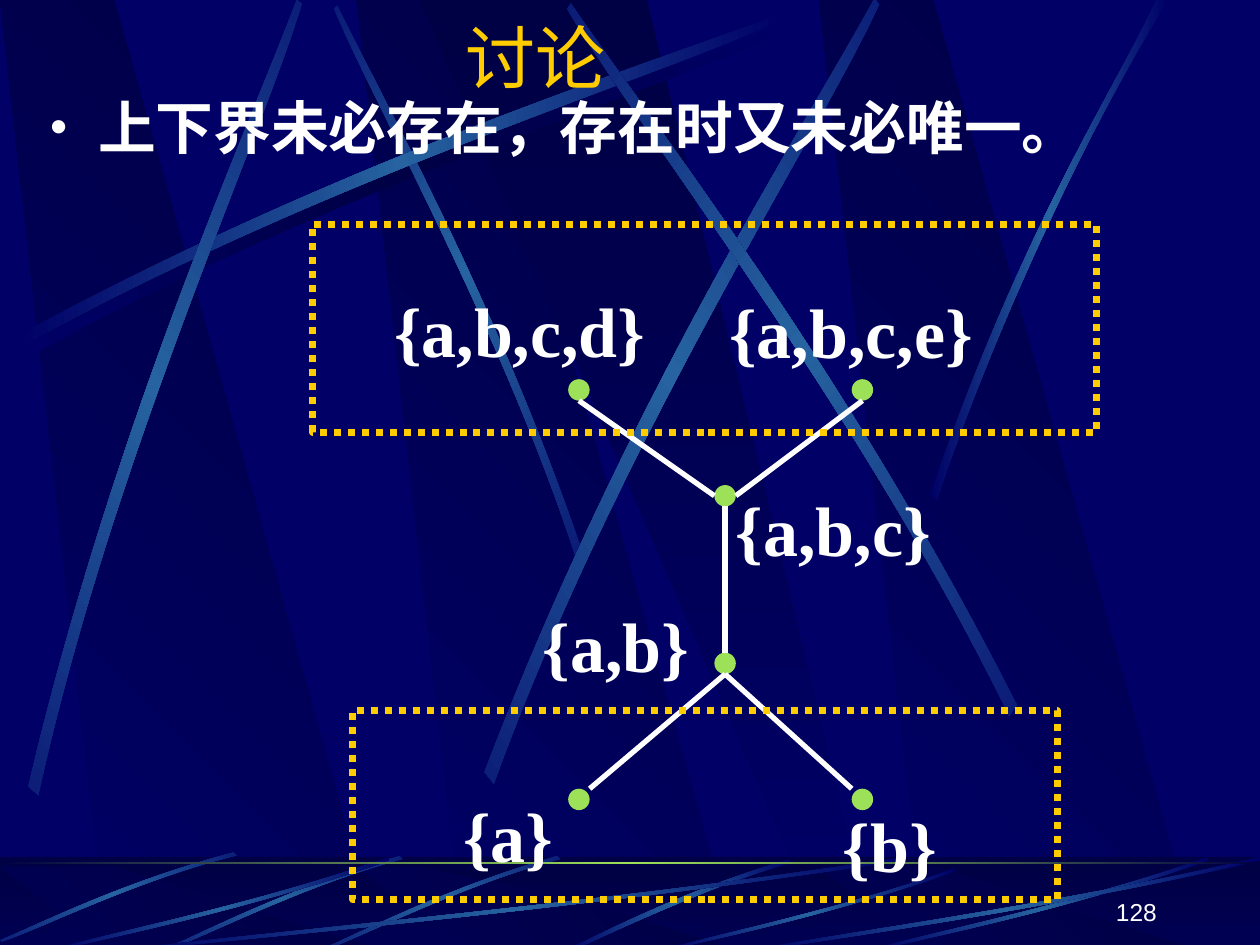
import pptx
import pptx.dml.color
import pptx.enum.dml
import pptx.enum.shapes
import pptx.enum.text
import pptx.oxml
import pptx.oxml.ns
import pptx.util

CELL = pptx.util.Inches(1)  # the grid has 10 columns and 7.5 rows
COLUMNS, ROWS = 10, 7.5
COLORS = {"navy": "000066", "dark": "000044", "blue": "2663A0",
          "green": "9CE157", "gold": "FFCC00", "white": "FFFFFF"}
GLOW = ("navy", "blue", "navy")
SHADE = ("navy", "dark")
ALIGN = pptx.enum.text.PP_ALIGN
ANCHOR = pptx.enum.text.MSO_ANCHOR
SHAPE = pptx.enum.shapes.MSO_SHAPE

# Outlines as shares of their box. A ribbon is two Bezier curves.
SWEEP = [(0, .96), (.43, .43), (.83, .15), (1, 0),
         (1, .02), (.84, .19), (.39, .5), (0, 1)]
RISING = [(0, .99), (.4, .44), (.79, .17), (.95, 0),
          (1, 0), (.52, .37), (.16, .81), (.03, 1)]
FALLING = [(.99, 0), (.49, .37), (.16, .82), (0, .99),
           (.03, 1), (.23, .77), (.68, .25), (1, .04)]
BEAM = [(.28, 1), (1, 1), (.3, 0), (0, 0)]
WIDE_BEAM = [(0, 0), (.9, 1), (1, 1), (.5, 0)]
BEAM_COLUMNS = (2.83, 0, 6.5)

WALL_RIBBONS = [  # box, rotation, mirrored
    ((1.41, 1.35, 4.42, 1.75), 45, True),
    ((.14, .1, 6.08, 2.67), 0, False),
    ((-1.71, 1.82, 6.08, 2.67), 311.7, False),
    ((2.31, 1.6, 6.24, 3.01), 321.6, False),
    ((3.23, 1.52, 6.08, 2.67), 34.7, True),
]
TILTED_FLOOR_RIBBONS = [(2.58, 6.76, 1.84, .83), (1.33, 6.76, 1.84, .83),
                        (.04, 6.7, 1.8, .85)]
FLAT_FLOOR_RIBBONS = [(1, 6.8, 6.17, .75), (.42, 6.8, 2.67, .75),
                      (5.27, 6.89, 2.31, .66), (6.92, 6.8, 2.67, .75),
                      (6, 6.8, 4, .75)]

NODE_SIZE = .17
NODES = {"{a,b,c}": (5.67, 3.85), "{a,b}": (5.67, 5.18),
         "{a,b,c,d}": (4.51, 3.01), "{a,b,c,e}": (6.76, 3.01),
         "{a}": (4.51, 6.26), "{b}": (6.76, 6.26)}
TOP, BOTTOM, LEFT, RIGHT = (.5, 0), (.5, 1), (0, .5), (1, .5)
TOP_LEFT, TOP_RIGHT = (0, 0), (1, 0)
EDGES = [("{a,b,c}", BOTTOM, "{a,b}", TOP),
         ("{a,b,c,d}", BOTTOM, "{a,b,c}", LEFT),
         ("{a,b,c,e}", BOTTOM, "{a,b,c}", RIGHT),
         ("{a,b}", BOTTOM, "{a}", TOP_RIGHT),
         ("{a,b}", BOTTOM, "{b}", TOP_LEFT)]
LABEL_BOXES = {"{a}": (3.58, 6.11, 1.01, .9), "{b}": (6.59, 6.19, 1.05, .9),
               "{a,b}": (4.21, 4.6, 1.46, .9), "{a,b,c}": (5.74, 3.68, 1.85, .9),
               "{a,b,c,d}": (3.03, 2.1, 2.3, .9),
               "{a,b,c,e}": (5.69, 2.11, 2.23, .9)}
BOUND_FRAMES = [(2.8, 5.64, 5.59, 1.5), (2.48, 1.78, 6.22, 1.65)]


def cells(*values):
    return [round(value * CELL) for value in values]


def rgb(name):
    return pptx.dml.color.RGBColor.from_string(COLORS[name])


def element(tag, content="", **attributes):
    listed = "".join(f' {key}="{value}"' for key, value in attributes.items())
    namespace = pptx.oxml.ns.nsdecls("a")
    return pptx.oxml.parse_xml(f"<a:{tag} {namespace}{listed}>{content}</a:{tag}>")


def set_gradient(shape, names, angle):
    """Fill with evenly spaced colours; the angle runs clockwise in degrees."""
    stops = "".join(
        f'<a:gs pos="{index * 100000 // (len(names) - 1)}">'
        f'<a:srgbClr val="{COLORS[name]}"/></a:gs>'
        for index, name in enumerate(names))
    content = f'<a:gsLst>{stops}</a:gsLst><a:lin ang="{angle * 60000}" scaled="0"/>'
    shape.fill.background()
    empty = shape._element.spPr.find(pptx.oxml.ns.qn("a:noFill"))
    shape._element.spPr.replace(empty, element("gradFill", content, rotWithShape=1))


def add_plain(parent, kind, box, fill=None):
    shape = parent.shapes.add_shape(kind, *cells(*box))
    shape.shadow.inherit = False
    shape.line.fill.background()
    if fill:
        shape.fill.solid()
        shape.fill.fore_color.rgb = rgb(fill)
    else:
        shape.fill.background()
    return shape


def add_outline(parent, shares, box, colors, angle):
    left, top, width, height = box
    points = [cells(left + x * width, top + y * height) for x, y in shares]
    builder = parent.shapes.build_freeform(*points[0])
    builder.add_line_segments(points[1:], close=True)
    shape = builder.convert_to_shape()
    shape.shadow.inherit = False
    shape.line.fill.background()
    set_gradient(shape, colors, angle)
    return shape


def bend(shape):
    """Turn the first three and the last three segments into Bezier curves."""
    segments = list(shape._element.iter(pptx.oxml.ns.qn("a:lnTo")))
    for controls in (segments[:3], segments[4:7]):
        curve = element("cubicBezTo")
        controls[0].addprevious(curve)
        for segment in controls:
            curve.append(segment[0])
            segment.getparent().remove(segment)


def add_ribbon(parent, curve, box, rotation=0, mirror=False, turn=False, colors=GLOW):
    """Add a curved ribbon; mirror flips it sideways, turn flips it both ways."""
    shares = [(1 - x if mirror or turn else x, 1 - y if turn else y) for x, y in curve]
    ribbon = add_outline(parent, shares, box, colors, 0)
    bend(ribbon)
    ribbon.rotation = rotation


def add_beams(parent, top, height):
    for left in BEAM_COLUMNS:
        add_outline(parent, BEAM, (left, top, 3.02, height), SHADE, 315)
    add_outline(parent, WIDE_BEAM, (3.33, top, 3.61, height), SHADE[::-1], 90)


def add_wall(parent):
    add_beams(parent, 0, 7.52)
    add_ribbon(parent, SWEEP, (.2, .18, 6.08, 2.67), colors=("navy", "dark", "navy"))
    for box, rotation, mirror in WALL_RIBBONS:
        add_ribbon(parent, SWEEP, box, rotation, mirror)
    add_ribbon(parent, RISING, (7.38, 0, 1.89, 3.97))


def add_floor(parent):
    floor = (0, 6.8, COLUMNS, .75)
    set_gradient(add_plain(parent, SHAPE.RECTANGLE, floor), SHADE[::-1], 90)
    add_beams(parent, 6.88, .66)
    veil = add_plain(parent, SHAPE.RECTANGLE, floor, "dark")
    color = veil._element.spPr.find(".//" + pptx.oxml.ns.qn("a:srgbClr"))
    color.append(element("alpha", val=50000))
    add_ribbon(parent, FALLING, (4.48, 6.82, 1.8, .73))
    for box in TILTED_FLOOR_RIBBONS:
        add_ribbon(parent, SWEEP, box, 315, mirror=True)
    for box in FLAT_FLOOR_RIBBONS:
        add_ribbon(parent, SWEEP, box, turn=True)
    horizon = add_plain(parent, SHAPE.RECTANGLE, (0, 6.84, COLUMNS, .02))
    set_gradient(horizon, ("dark", "green", "dark"), 0)


def add_text(parent, text, box, size, font, color="white", bold=False, wrap=True,
             align=ALIGN.LEFT, anchor=ANCHOR.TOP, spacing=None, bullet=None):
    frame = parent.shapes.add_textbox(*cells(*box)).text_frame
    frame.word_wrap = wrap
    frame.vertical_anchor = anchor
    para = frame.paragraphs[0]
    para.alignment = align
    para.line_spacing = spacing
    if bullet:
        properties = para._p.get_or_add_pPr()
        indent = cells(.38)[0]
        properties.set("marL", str(indent))
        properties.set("indent", str(-indent))
        properties.append(element("buSzPct", val=85000))
        properties.append(element("buFont", typeface=font))
        properties.append(element("buChar", char=bullet))
    span = para.add_run()
    span.text = text
    span.font.size = pptx.util.Pt(size)
    span.font.name = font
    span.font.bold = bold
    span.font.color.rgb = rgb(color)


def add_edge(parent, start, start_side, end, end_side):
    ends = [position + share * NODE_SIZE
            for node, side in ((start, start_side), (end, end_side))
            for position, share in zip(NODES[node], side)]
    edge = parent.shapes.add_connector(pptx.enum.shapes.MSO_CONNECTOR.STRAIGHT, *cells(*ends))
    edge.line.color.rgb = rgb("white")
    edge.line.width = pptx.util.Pt(3)
    edge._element.spPr.append(element("effectLst"))


def add_diagram(parent):
    for position in NODES.values():
        add_plain(parent, SHAPE.OVAL, (*position, NODE_SIZE, NODE_SIZE), "green")
    for edge in EDGES:
        add_edge(parent, *edge)
    for label, box in LABEL_BOXES.items():
        add_text(parent, label, box, 40, "Times New Roman", bold=True, wrap=False,
                 spacing=1.2)


def add_bound_frame(parent, box):
    line = add_plain(parent, SHAPE.RECTANGLE, box).line
    line.color.rgb = rgb("gold")
    line.width = pptx.util.Pt(4)
    line.dash_style = pptx.enum.dml.MSO_LINE.ROUND_DOT


def main():
    deck = pptx.Presentation()
    deck.slide_width, deck.slide_height = cells(COLUMNS, ROWS)
    page = deck.slides.add_slide(deck.slide_layouts[6])
    page.background.fill.solid()
    page.background.fill.fore_color.rgb = rgb("navy")
    scenery = page.shapes.add_group_shape()
    add_wall(scenery)
    add_floor(scenery)
    add_text(page, "讨论", (0, .06, 8.5, .77), 40, "Montserrat", "gold",
             align=ALIGN.CENTER, anchor=ANCHOR.MIDDLE)
    add_text(page, "上下界未必存在，存在时又未必唯一。", (.3, .68, 9.67, 6.66), 33,
             "Arial", bold=True, bullet="•")
    add_diagram(page.shapes.add_group_shape())
    for box in BOUND_FRAMES:
        add_bound_frame(page, box)
    add_text(page, "128", (7.2, 6.9, 2.08, .5), 14, "Arial",
             align=ALIGN.RIGHT, anchor=ANCHOR.BOTTOM)
    deck.save("out.pptx")


if __name__ == "__main__":
    main()
